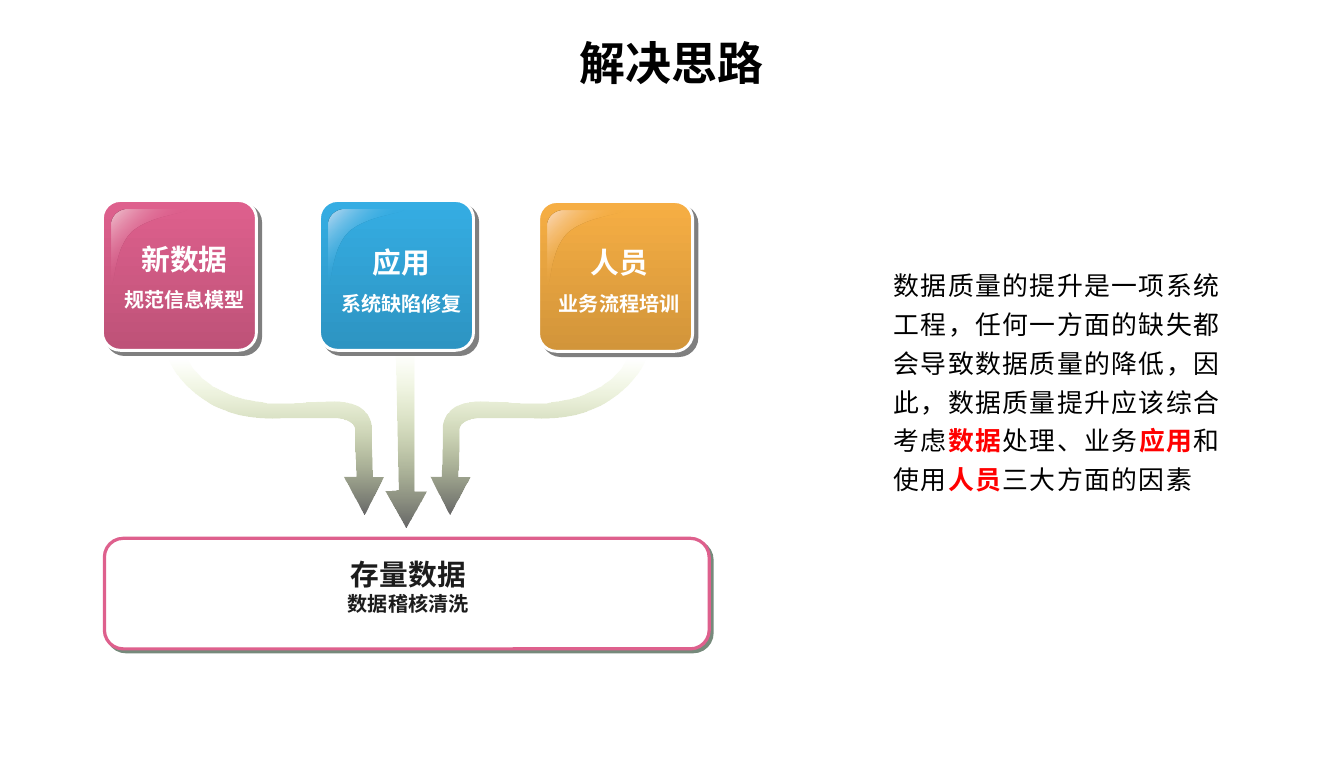
from lxml import etree
from pptx import Presentation
from pptx.dml.color import RGBColor
from pptx.enum.shapes import MSO_SHAPE as Shape
from pptx.enum.text import MSO_ANCHOR as Anchor, MSO_AUTO_SIZE as AutoSize, PP_ALIGN as Align
from pptx.oxml.ns import nsdecls, qn
from pptx.util import Inches, Pt

# Content
TITLE = "解决思路"
TILES = [  # heading, detail, colour, gloss colour, tile left and top, label box
    ("新数据", "规范信息模型", "DE608D", "F0C7D2", (0.99, 1.94), (1, 2.12, 1.57, 0.96)),
    ("应用", "系统缺陷修复", "35ADE3", "C1DCF2", (3.09, 1.94), (3.15, 2.15, 1.47, 0.96)),
    ("人员", "业务流程培训", "F6AE44", "FBDCC3", (5.21, 1.95), (5.3, 2.15, 1.38, 0.96)),
]
RESULT = ("存量数据", "数据稽核清洗")
SUMMARY = [  # text, highlighted
    ("数据质量的提升是一项系统工程，任何一方面的缺失都会导致数据质量的降低，"
     "因此，数据质量提升应该综合考虑", False),
    ("数据", True), ("处理、业务", False), ("应用", True),
    ("和使用", False), ("人员", True), ("三大方面的因素", False),
]
HAN_FONT = "Noto Sans CJK SC"

# Layout in inches
WIDTH, HEIGHT = 13, 7.5
TILE_SIZE = (1.49, 1.45)
MIRROR_SUM = 7.87  # left and right arrows: x becomes MIRROR_SUM - x

# Outlines: one point is a corner, three points are a Bezier curve
GLOSS = [
    [(0.24, 0.09)], [(0.16, 0.09), (0.09, 0.16), (0.09, 0.23)], [(0.09, 0.8)],
    [(0.13, 0.82), (0.11, 0.47), (0.29, 0.3)], [(0.48, 0.14), (0.83, 0.13), (0.82, 0.09)],
    [(0.24, 0.09)]]
LEFT_ARROW = [
    [(1.63, 3.48)], [(1.63, 3.48), (1.87, 4.09), (2.71, 4.05)],
    [(2.98, 4.05), (3.26, 4.05), (3.26, 4.05)], [(3.26, 4.05), (3.44, 4.05), (3.43, 4.18)],
    [(3.43, 4.4), (3.44, 4.61), (3.44, 4.61)], [(3.32, 4.61)], [(3.52, 4.98)],
    [(3.71, 4.61)], [(3.6, 4.61)], [(3.6, 4.61), (3.59, 4.37), (3.59, 4.12)],
    [(3.57, 3.93), (3.37, 3.9), (3.37, 3.9)], [(3.2, 3.86), (2.97, 3.91), (2.58, 3.9)],
    [(1.94, 3.83), (1.82, 3.48), (1.82, 3.48)], [(1.63, 3.48)]]
MIDDLE_ARROW = [
    [(3.83, 3.41)], [(3.86, 4.74)], [(3.73, 4.75)], [(3.93, 5.11)],
    [(4.13, 4.75)], [(4.01, 4.75)], [(4.01, 3.41)], [(3.83, 3.41)]]
ARROW_STOPS = [(0, "99CC00", "alpha", 0), (100, "000000", "alpha", 60)]


def color(value):
    return RGBColor.from_string(value)


def set_gradient(shape, stops, angle):
    """Fill with stops of position, colour, colour change and its percentage."""
    stop_xml = "".join(
        f'<a:gs pos="{position * 1000}"><a:srgbClr val="{value}">'
        f'<a:{change} val="{percent * 1000}"/></a:srgbClr></a:gs>'
        for position, value, change, percent in stops)
    gradient = etree.fromstring(
        f'<a:gradFill {nsdecls("a")} rotWithShape="1"><a:gsLst>{stop_xml}</a:gsLst>'
        f'<a:lin ang="{angle * 60000}" scaled="0"/></a:gradFill>')
    shape.fill.background()
    properties = shape._element.spPr
    properties.replace(properties.find(qn("a:noFill")), gradient)


def add_rounded_box(shapes, box, corner, line, line_width, shadow, opacity, distance):
    shape = shapes.add_shape(Shape.ROUNDED_RECTANGLE, *map(Inches, box))
    shape.adjustments[0] = corner
    shape.line.color.rgb = color(line)
    shape.line.width = Pt(line_width)
    shape.shadow.inherit = False
    effects = shape._element.spPr.find(qn("a:effectLst"))
    effects.append(etree.fromstring(
        f'<a:outerShdw {nsdecls("a")} blurRad="0" dist="{Pt(distance)}" dir="2700000" '
        f'algn="ctr" rotWithShape="0"><a:srgbClr val="{shadow}">'
        f'<a:alpha val="{opacity * 1000}"/></a:srgbClr></a:outerShdw>'))
    return shape


def add_outline(shapes, outline, stops, angle, place=lambda x, y: (x, y)):
    points = [tuple(map(Inches, place(*point))) for segment in outline for point in segment]
    builder = shapes.build_freeform(*points[0], scale=1.0)
    builder.add_line_segments(points[1:], close=True)
    shape = builder.convert_to_shape()
    # Join each three line points into one curve
    lines = iter(list(shape._element.iter(qn("a:lnTo"))))
    for segment in outline[1:]:
        members = [next(lines) for _ in segment]
        if len(members) == 3:
            curve = etree.Element(qn("a:cubicBezTo"))
            members[0].addprevious(curve)
            for member in members:
                curve.append(member[0])
                member.getparent().remove(member)
    shape.shadow.inherit = False
    shape.line.fill.background()
    set_gradient(shape, stops, angle)


def format_run(run, size, value, bold=True, font=HAN_FONT):
    run.font.size = Pt(size)
    run.font.bold = bold
    run.font.name = font
    run.font.color.rgb = color(value)
    east_asian = etree.SubElement(run.font._element, qn("a:ea"))
    east_asian.set("typeface", HAN_FONT)


def add_frame(slide, box):
    frame = slide.shapes.add_textbox(*map(Inches, box)).text_frame
    frame.word_wrap = True
    frame.auto_size = AutoSize.SHAPE_TO_FIT_TEXT
    return frame


def add_text(slide, box, lines, sizes, value, spacing=None, font="Arial"):
    frame = add_frame(slide, box)
    frame.text = "\n".join(lines)
    for paragraph, size in zip(frame.paragraphs, sizes):
        paragraph.alignment = Align.CENTER
        paragraph.line_spacing = spacing
        format_run(paragraph.runs[0], size, value, font=font)
    return frame


presentation = Presentation()
presentation.slide_width, presentation.slide_height = Inches(WIDTH), Inches(HEIGHT)
slide = presentation.slides.add_slide(presentation.slide_layouts[6])

# Glossy tiles
for heading, detail, base, gloss, (left, top), label_box in TILES:
    group = slide.shapes.add_group_shape()
    tile = add_rounded_box(group.shapes, (left, top, *TILE_SIZE),
                           0.12, "FFFFFF", 2, "000000", 50, 4.2)
    set_gradient(tile, [(0, base, "alpha", 100), (100, base, "shade", 70)], 90)
    add_outline(group.shapes, GLOSS,
                [(0, gloss, "alpha", 100), (50, base, "alpha", 0), (100, gloss, "alpha", 100)],
                45, lambda x, y: (left + x, top + y))

# Tile labels
for heading, detail, base, gloss, corner, label_box in reversed(TILES):
    add_text(slide, label_box, [heading, detail], [20, 14], "FFFFFF", 1.5)

# Arrows down to the result
add_outline(slide.shapes, LEFT_ARROW, ARROW_STOPS, 90)
add_outline(slide.shapes, MIDDLE_ARROW, ARROW_STOPS, 90)
add_outline(slide.shapes, LEFT_ARROW, ARROW_STOPS, 90, lambda x, y: (MIRROR_SUM - x, y))

# Result box
result = add_rounded_box(slide.shapes, (1.01, 5.21, 5.85, 1.07), 0.17, "DE608D", 2.25,
                         "768A7B", 100, 2.8)
result.fill.solid()
result.fill.fore_color.rgb = color("FFFFFF")
add_text(slide, (0.82, 5.34, 6.26, 0.67), RESULT, [20, 14], "1C1C1C")

# Title
title = add_text(slide, (0.05 * WIDTH, 0.04 * HEIGHT, 0.9 * WIDTH, 0.08 * HEIGHT),
                 [TITLE], [32], "000000", font=HAN_FONT)
title.vertical_anchor = Anchor.MIDDLE
title.margin_left = title.margin_right = Inches(0.06)
title.margin_top = title.margin_bottom = Inches(0.03)

# Summary
summary = add_frame(slide, (8.545, 2.49, 3.62, 2.34))
paragraph = summary.paragraphs[0]
paragraph.line_spacing = 1.25
for text, highlighted in SUMMARY:
    run = paragraph.add_run()
    run.text = text
    format_run(run, 18, "FF0000" if highlighted else "000000", highlighted)
    run.font._element.set("spc", "100")

presentation.save("out.pptx")
